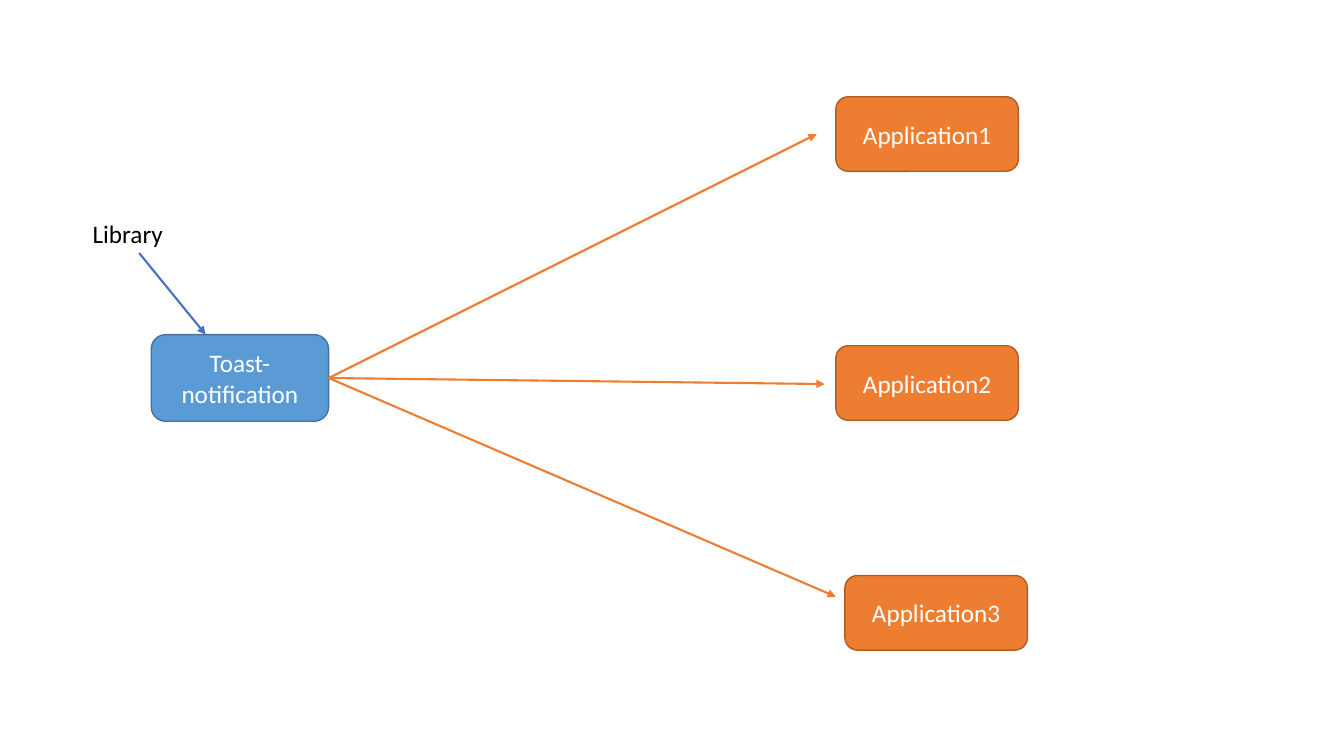
"""Builds a slide showing one notification library serving three applications."""
from pptx import Presentation
from pptx import util as u
from pptx.dml.color import RGBColor
from pptx.enum import shapes, text
from pptx.oxml.ns import qn
from lxml import etree

COLOURS = {
    "library": "5B9BD5",
    "library_edge": "43739E",
    "pointer": "4472C4",
    "app": "ED7D31",
    "app_edge": "AF5C24",
    "light": "FFFFFF",
    "dark": "000000",
}


class Diagram:
    """Holds the style and the current slide, and draws each kind of element."""

    font, size, scale = "Calibri", u.Pt(18), 9144

    def __init__(self, slide):
        self.shapes = slide.shapes

    def px(self, *lengths):
        return [u.Emu(length * self.scale) for length in lengths]

    def colour(self, name):
        return RGBColor.from_string(COLOURS[name])

    def set_wording(self, frame, wording, colour):
        frame.text = wording
        font = frame.paragraphs[0].runs[0].font
        font.name, font.size = self.font, self.size
        font.color.rgb = self.colour(colour)

    def box(self, wording, bounds, fill):
        box = self.shapes.add_shape(
            shapes.MSO_SHAPE.ROUNDED_RECTANGLE, *self.px(*bounds))
        box.shadow.inherit = False
        box.fill.solid()
        box.fill.fore_color.rgb = self.colour(fill)
        box.line.color.rgb = self.colour(fill + "_edge")
        box.line.width = u.Pt(1)
        self.set_wording(box.text_frame, wording, "light")
        box.text_frame.vertical_anchor = text.MSO_ANCHOR.MIDDLE
        box.text_frame.paragraphs[0].alignment = text.PP_ALIGN.CENTER
        return box

    def label(self, wording, bounds):
        frame = self.shapes.add_textbox(*self.px(*bounds)).text_frame
        frame.word_wrap = False
        frame.auto_size = text.MSO_AUTO_SIZE.SHAPE_TO_FIT_TEXT
        self.set_wording(frame, wording, "dark")

    def arrow(self, start, end, colour, source=None):
        arrow = self.shapes.add_connector(
            shapes.MSO_CONNECTOR.STRAIGHT, *self.px(*start, *end))
        if source is not None:
            arrow.begin_connect(source, 3)
        arrow.line.color.rgb = self.colour(colour)
        arrow.line.width = u.Pt(1.5)
        properties = arrow.element.spPr
        outline = properties.find(qn("a:ln"))
        etree.SubElement(outline, qn("a:tailEnd"), type="triangle")
        etree.SubElement(properties, qn("a:effectLst"))


def main():
    deck = Presentation()
    deck.slide_width, deck.slide_height = u.Inches(13.33), u.Inches(7.5)
    diagram = Diagram(deck.slides.add_slide(deck.slide_layouts[6]))

    library = diagram.box("Toast-notification", (150, 332, 176, 86), "library")
    diagram.arrow((138, 251), (204, 332), "pointer")
    diagram.label("Library", (82, 212, 91, 40))

    applications = [
        ("Application1", (829, 96), (810, 133)),
        ("Application2", (829, 343), (818, 381)),
        ("Application3", (838, 571), (829, 592)),
    ]
    for name, corner, _ in applications:
        diagram.box(name, (*corner, 181, 74), "app")
    for _, _, tip in applications:
        diagram.arrow((326, 375), tip, "app", library)

    deck.save("out.pptx")


if __name__ == "__main__":
    main()
